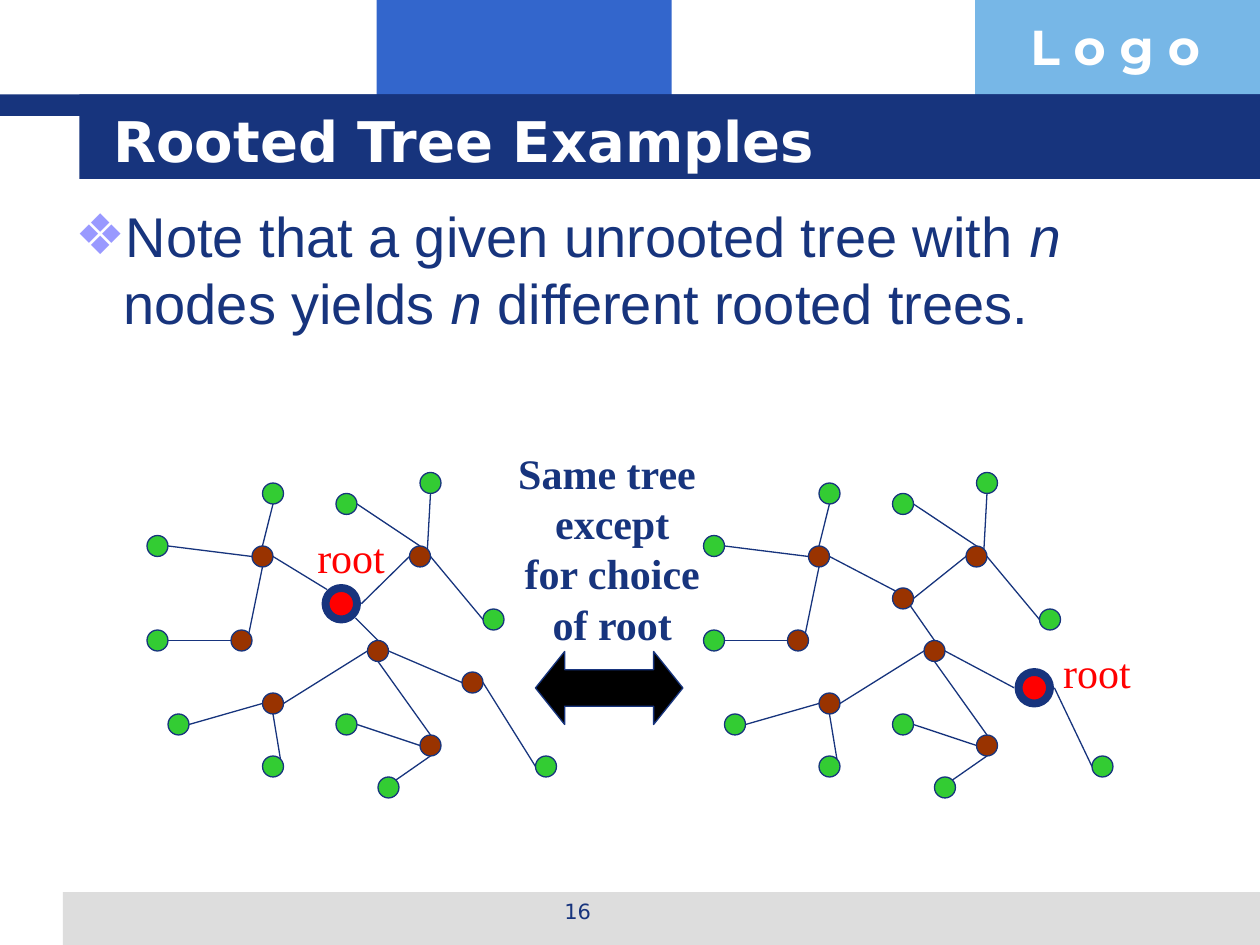
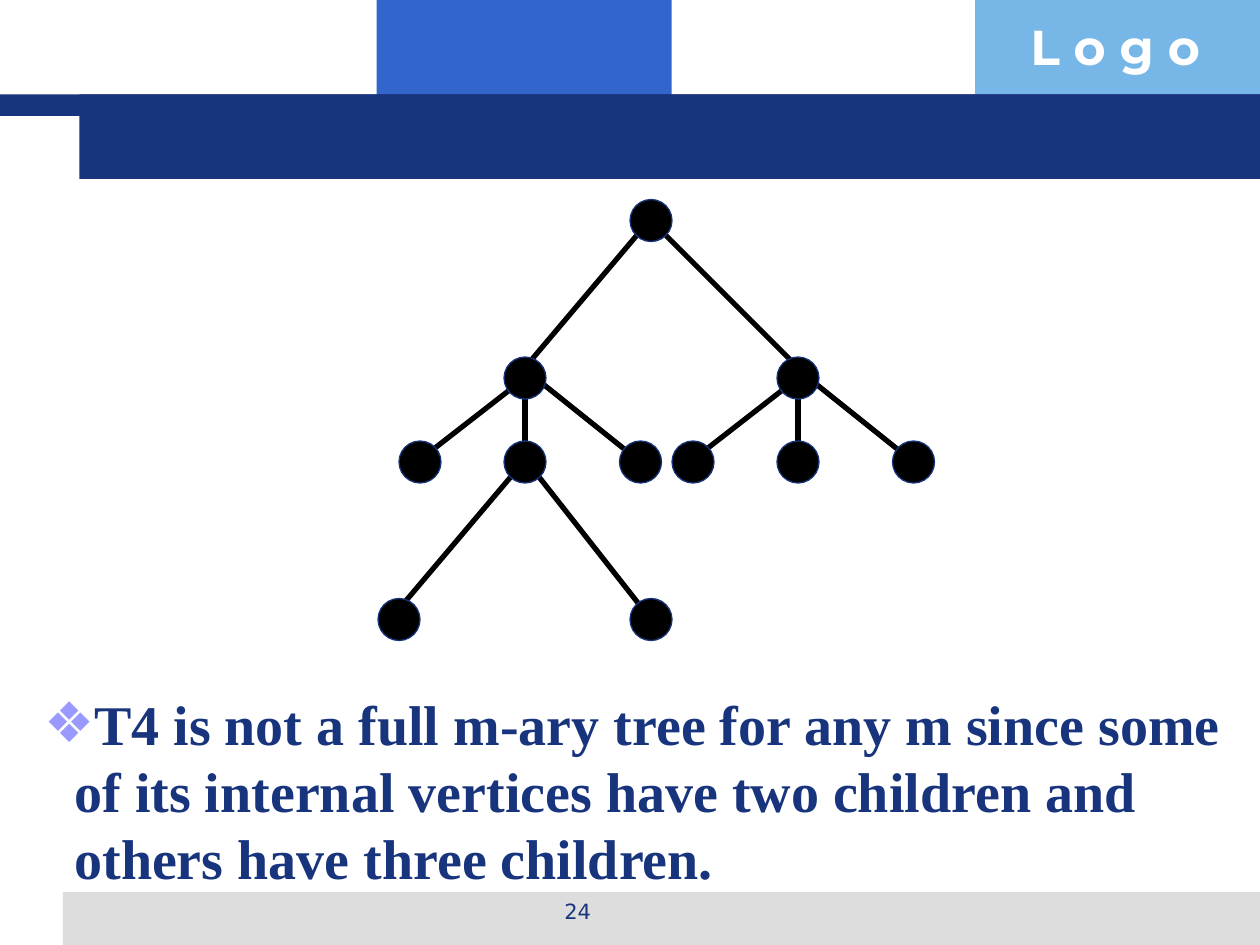
from lxml import etree
from pptx import Presentation
from pptx.dml.color import RGBColor
from pptx.enum.shapes import MSO_CONNECTOR, MSO_SHAPE
from pptx.enum.text import MSO_ANCHOR, MSO_AUTO_SIZE, PP_ALIGN
from pptx.oxml.ns import qn
from pptx.util import Inches, Pt

RECTANGLE, OVAL = MSO_SHAPE.RECTANGLE, MSO_SHAPE.OVAL
DOUBLE_ARROW = MSO_SHAPE.LEFT_RIGHT_ARROW
LEFT, CENTER = PP_ALIGN.LEFT, PP_ALIGN.CENTER

# Shared style
NAVY, BLUE, SKY, GRAY = "17347D", "3366CC", "77B7E7", "DDDDDD"
BROWN, GREEN, RED = "993300", "33CC33", "FF0000"
BLACK, WHITE, LILAC = "000000", "FFFFFF", "9999FF"
SANS, BODY, SERIF = "DejaVu Sans", "Arial", "Times New Roman"
BANDS = [
    ((2.99, 0, 2.34, 0.92), BLUE),
    ((7.74, 0, 2.26, 0.92), SKY),
    ((0.5, 7.08, 9.5, 0.42), GRAY),
    ((0, 0.75, 10, 0.17), NAVY),
    ((0.63, 0.75, 9.37, 0.67), NAVY),
]
GRID = 1 / 12  # tree coordinates are in twelfths of an inch

# Slide 1: one tree, drawn twice with a different root
EXAMPLES_TITLE = "Rooted Tree Examples"
EXAMPLES_NOTE = [
    ("Note that a given unrooted tree with ", False), ("n", True),
    (" nodes yields ", False), ("n", True),
    (" different rooted trees.", False),
]
CAPTION = "Same tree \vexcept\vfor choice\vof root"
INNER_NODES = {
    "a": (25, 53), "b": (26, 67), "c": (23, 61), "e": (36, 62),
    "h": (41, 71), "i": (40, 53), "l": (45, 65), "x": (33, 57),
}
LEAVES = {
    "d": (47, 59), "f": (33, 48), "g": (33, 69), "j": (17, 69), "k": (41, 46),
    "m": (52, 73), "n": (26, 73), "o": (15, 61), "p": (15, 52), "q": (26, 47),
    "r": (37, 75),
}
# Each edge: node and side where it starts, node and side where it ends
EDGES = [
    "a E x NW", "x E i W", "i N f E", "i E d W", "x SE e N", "e S h N",
    "e W b E", "c NE a S", "g E h W", "j E b W", "l E m W", "h S r NE",
    "i NE k S", "a N q S", "a W p E", "o E c W", "b S n NE", "e E l W",
]
SIDES = {
    "N": (0, -1), "E": (1, 0), "S": (0, 1), "W": (-1, 0),
    "NE": (0.71, -0.71), "NW": (-0.71, -0.71), "SE": (0.71, 0.71),
}
# Offset of the tree, root node, root centre on the grid, place of its label
ROOTED_TREES = [
    (0, "x", (32.5, 57.5), (2.42, 4.17)),
    (53, "l", (45.5, 65.5), (8.34, 5.08)),
]

# Slide 2: tree T4
T4_NOTE = [("T4 is not a full m-ary tree for any m since some of its internal "
            "vertices have two children and others have three children.", False)]
T4_NODES = [
    (62, 21), (50, 36), (76, 36), (40, 44), (50, 44), (61, 44), (66, 44),
    (76, 44), (87, 44), (38, 59), (62, 59),
]
T4_EDGES = [
    ((61, 22), (50, 35)), ((63, 22), (76, 35)),
    ((49, 45), (38, 58)), ((51, 45), (62, 59)),
    ((50, 37), (50, 43)), ((50, 36), (41, 43)), ((51, 36), (61, 44)),
    ((76, 37), (76, 43)), ((76, 36), (67, 43)), ((77, 36), (87, 44)),
]


def color(value):
    return RGBColor.from_string(value)


def add_shape(slide, kind, box, fill, line=None, width=0.75):
    shape = slide.shapes.add_shape(kind, *map(Inches, box))
    shape.shadow.inherit = False
    shape.fill.solid()
    shape.fill.fore_color.rgb = color(fill)
    if line:
        shape.line.color.rgb = color(line)
        shape.line.width = Pt(width)
    else:
        shape.line.fill.background()
    return shape


def add_dot(slide, center, radius, fill, width=0.75):
    x, y = center
    box = (x - radius, y - radius, 2 * radius, 2 * radius)
    add_shape(slide, OVAL, box, fill, NAVY, width)


def add_line(slide, start, end, line, width):
    connector = slide.shapes.add_connector(
        MSO_CONNECTOR.STRAIGHT, *map(Inches, (*start, *end)))
    connector.line.color.rgb = color(line)
    connector.line.width = Pt(width)
    etree.SubElement(connector.element.spPr, qn("a:effectLst"))


def set_font(paragraph, name, size, ink, bold=False):
    font = paragraph.font
    font.name, font.size, font.bold = name, Pt(size), bold
    font.color.rgb = color(ink)


def add_text(slide, box, text, name, size, ink, bold=False, align=LEFT):
    text_box = slide.shapes.add_textbox(*map(Inches, box))
    frame = text_box.text_frame
    frame.word_wrap = True
    frame.text = text
    paragraph = frame.paragraphs[0]
    paragraph.alignment = align
    set_font(paragraph, name, size, ink, bold)
    return text_box


def place(placeholder, box, anchor):
    placeholder.left, placeholder.top, placeholder.width, placeholder.height = map(
        Inches, box)
    frame = placeholder.text_frame
    frame.word_wrap = True
    frame.auto_size = MSO_AUTO_SIZE.NONE
    frame.vertical_anchor = anchor
    return frame.paragraphs[0]


def fill_title(slide, text):
    paragraph = place(slide.shapes.title, (0.8, 0.8, 8.53, 0.62), MSO_ANCHOR.MIDDLE)
    paragraph.text = text
    paragraph.alignment = LEFT
    set_font(paragraph, SANS, 32, WHITE, True)


def fill_body(slide, box, runs, hanging, name, bold=False):
    paragraph = place(slide.placeholders[1], box, MSO_ANCHOR.TOP)
    paragraph.space_before = Pt(0)
    properties = paragraph._p.get_or_add_pPr()
    properties.set("marL", str(Inches(hanging)))
    properties.set("indent", str(-Inches(hanging)))
    bullet_color = etree.SubElement(properties, qn("a:buClr"))
    etree.SubElement(bullet_color, qn("a:srgbClr"), val=LILAC)
    etree.SubElement(properties, qn("a:buChar"), char="❖")
    set_font(paragraph, name, 32, NAVY, bold)
    for text, italic in runs:
        run = paragraph.add_run()
        run.text = text
        run.font.italic = italic


def add_master_bands(presentation, slide):
    """Draw the bands and the label, then hand them to the slide master."""
    parts = [add_shape(slide, RECTANGLE, box, fill) for box, fill in BANDS]
    parts.append(add_text(slide, (8.08, 0.08, 1.93, 0.57), "L o g o",
                          "Montserrat", 28, WHITE, True))
    for number, part in enumerate(parts, start=101):
        part.element.nvSpPr.cNvPr.set("id", str(number))
        presentation.slide_master.shapes.element.append(part.element)


def add_page_number(slide, number):
    add_text(slide, (3.42, 7.08, 2.33, 0.35), number, SANS, 12, NAVY, align=CENTER)


def draw_rooted_tree(slide, offset, root, root_center, label_place):
    nodes = {**INNER_NODES, **LEAVES, root: root_center}
    centers = {name: ((x + offset) * GRID, y * GRID)
               for name, (x, y) in nodes.items()}

    def edge_end(name, side):
        radius = 0.16 if name == root else GRID
        return [middle + radius * step
                for middle, step in zip(centers[name], SIDES[side])]

    for edge in EDGES:
        first, first_side, second, second_side = edge.split()
        add_line(slide, edge_end(first, first_side),
                 edge_end(second, second_side), NAVY, 0.75)
    for name, center in centers.items():
        if name == root:
            add_dot(slide, center, 0.125, RED, 4.5)
        else:
            add_dot(slide, center, GRID, GREEN if name in LEAVES else BROWN)
    add_text(slide, (*label_place, 0.8, 0.5), "root", SERIF, 24, RED)


def build_examples(slide):
    fill_title(slide, EXAMPLES_TITLE)
    fill_body(slide, (0.5, 1.55, 9, 5.34), EXAMPLES_NOTE, 0.38, BODY)
    for tree in ROOTED_TREES:
        draw_rooted_tree(slide, *tree)
    arrow = add_shape(slide, DOUBLE_ARROW, (4.25, 5.17, 1.17, 0.58), BLACK, NAVY)
    arrow.adjustments[1] = 0.4
    add_text(slide, (4.01, 3.5, 1.7, 1.7), CAPTION, SERIF, 24, NAVY, True, CENTER)
    add_page_number(slide, "16")


def build_t4(slide):
    title = slide.shapes.title.element
    title.getparent().remove(title)
    for ends in T4_EDGES:
        start, end = [(x * GRID, y * GRID) for x, y in ends]
        add_line(slide, start, end, BLACK, 3)
    for x, y in T4_NODES:
        add_dot(slide, (x * GRID, y * GRID), 2 * GRID, BLACK)
    fill_body(slide, (0.25, 5.42, 9.58, 1.7), T4_NOTE, 0.24, SERIF, True)
    add_page_number(slide, "24")


def main():
    presentation = Presentation()
    presentation.slide_width, presentation.slide_height = Inches(10), Inches(7.5)
    layout = presentation.slide_layouts[1]
    examples, t4 = [presentation.slides.add_slide(layout) for _ in range(2)]
    add_master_bands(presentation, examples)
    build_examples(examples)
    build_t4(t4)
    presentation.save("out.pptx")


if __name__ == "__main__":
    main()
